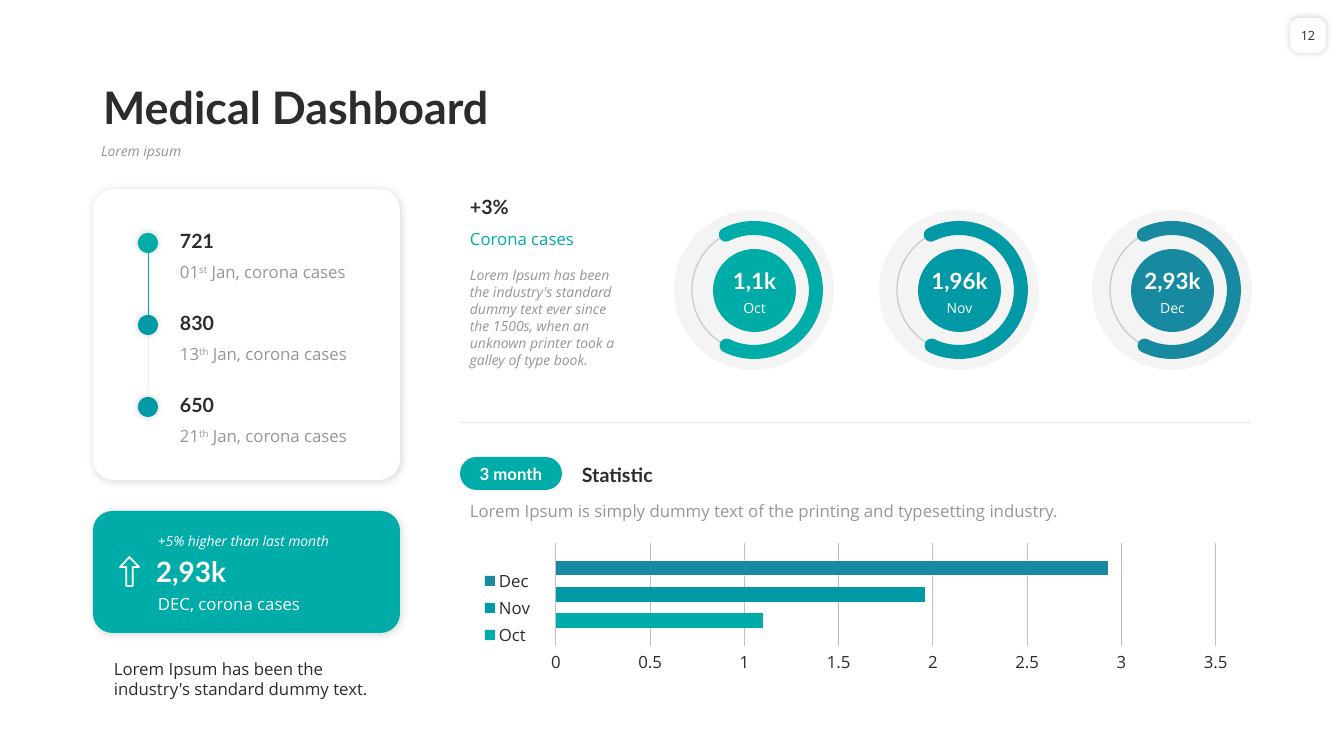
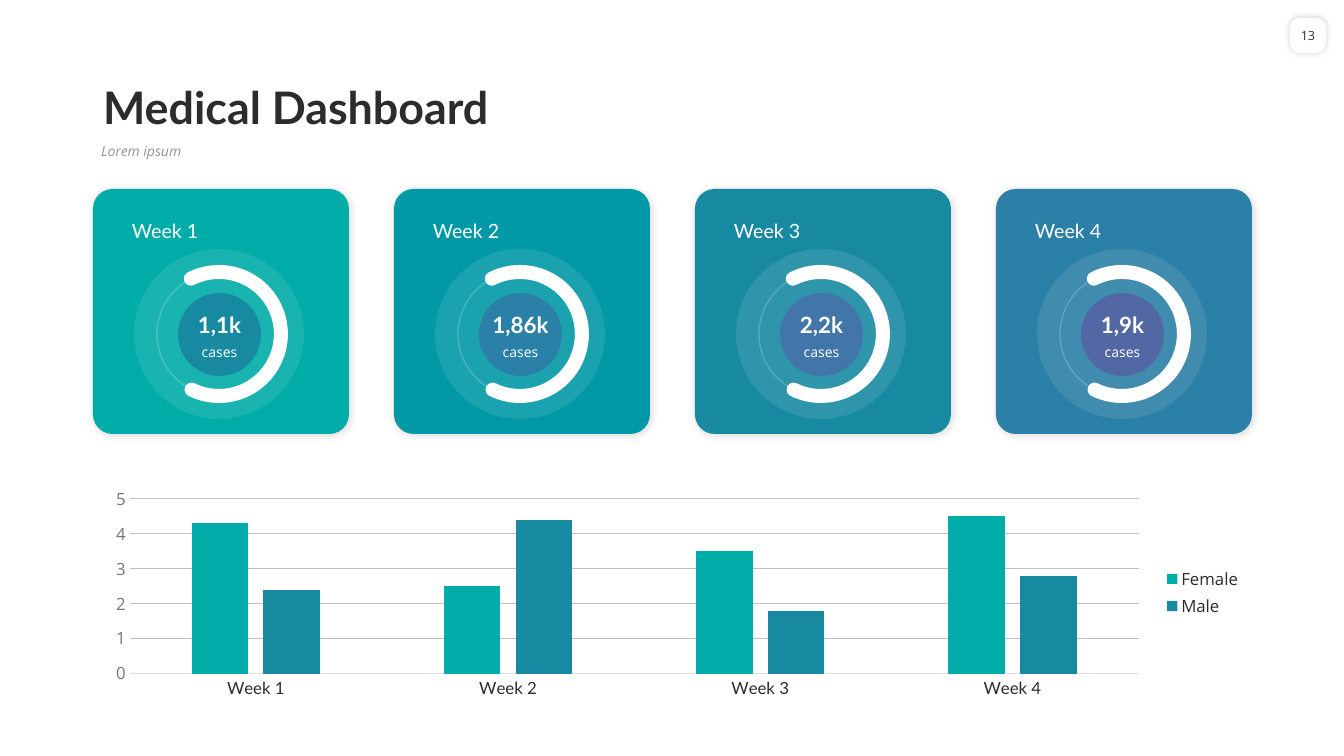
"""Build two medical dashboard slides with gauges, cards and charts."""
from lxml import etree
from pptx import Presentation
from pptx.chart.data import CategoryChartData
from pptx.dml.color import RGBColor
from pptx.enum.chart import XL_CHART_TYPE, XL_LEGEND_POSITION, XL_TICK_MARK
from pptx.enum.shapes import MSO_CONNECTOR, MSO_SHAPE
from pptx.enum.text import MSO_ANCHOR, MSO_AUTO_SIZE, PP_ALIGN
from pptx.oxml.ns import qn
from pptx.util import Pt

PX = 9071
HEAD, BODY = "Lato", "Open Sans"
INK = RGBColor(0x2C, 0x2C, 0x2C)
GREY = RGBColor(0x96, 0x96, 0x96)
AXIS_GREY = RGBColor(0x76, 0x76, 0x76)
GRID = RGBColor(0xC0, 0xC0, 0xC0)
BASELINE = RGBColor(0xDF, 0xDF, 0xDF)
HAIRLINE = RGBColor(0xEA, 0xEA, 0xEA)
WHITE = RGBColor(0xFF, 0xFF, 0xFF)
GREEN = RGBColor(0x00, 0xAC, 0xA8)
TEAL = RGBColor(0x00, 0x99, 0xA5)
PETROL = RGBColor(0x17, 0x8A, 0xA1)
BLUE = RGBColor(0x2A, 0x80, 0xA6)
AZURE = RGBColor(0x42, 0x76, 0xAA)
VIOLET = RGBColor(0x52, 0x68, 0xA5)
LEFT, CENTER = PP_ALIGN.LEFT, PP_ALIGN.CENTER
TOP, MIDDLE, BOTTOM = MSO_ANCHOR.TOP, MSO_ANCHOR.MIDDLE, MSO_ANCHOR.BOTTOM
ROUNDED, OVAL = MSO_SHAPE.ROUNDED_RECTANGLE, MSO_SHAPE.OVAL
ARC, UP_ARROW = MSO_SHAPE.ARC, MSO_SHAPE.UP_ARROW
STRAIGHT = MSO_CONNECTOR.STRAIGHT
NO_TICKS = XL_TICK_MARK.NONE
CARD_SHADOW = (15, 6, 1)
DOT_SHADOW = (20, 5, 0)


def draw(slide, kind, box, fill=None, line=None, weight=1, alpha=100, shadow=None, adjust=()):
    shape = slide.shapes.add_shape(kind, *[length * PX for length in box])
    for index, value in enumerate(adjust):
        shape.adjustments[index] = value
    if fill is None:
        shape.fill.background()
    else:
        shape.fill.solid()
        shape.fill.fore_color.rgb = fill
    if line is None:
        shape.line.fill.background()
    else:
        shape.line.color.rgb = line
        shape.line.width = Pt(weight)
        shape.line._get_or_add_ln().set("cap", "rnd")
    properties = shape._element.spPr
    if alpha < 100:
        for colour in properties.iter(qn("a:srgbClr")):
            etree.SubElement(colour, qn("a:alpha"), val=str(alpha * 1000))
    shape.shadow.inherit = False
    if shadow:
        opacity, blur, distance = shadow
        outer = etree.SubElement(
            properties.find(qn("a:effectLst")), qn("a:outerShdw"), blurRad=str(Pt(blur)),
            dist=str(Pt(distance)), dir=str(45 * 60000), algn="tl", rotWithShape="0")
        black = etree.SubElement(outer, qn("a:srgbClr"), val="000000")
        etree.SubElement(black, qn("a:alpha"), val=str(opacity * 1000))
    return shape


def write(slide, box, wording, size, colour, font=BODY, bold=False, italic=False,
          align=LEFT, anchor=TOP, shape=None, margin=None):
    shape = shape or slide.shapes.add_textbox(0, 0, 0, 0)
    shape.left, shape.top, shape.width, shape.height = [length * PX for length in box]
    frame = shape.text_frame
    frame.word_wrap = True
    frame.auto_size = MSO_AUTO_SIZE.NONE
    frame.vertical_anchor = anchor
    if margin is not None:
        frame.margin_left = frame.margin_right = margin * PX
        frame.margin_top = frame.margin_bottom = margin * PX
    paragraph = frame.paragraphs[0]
    paragraph.alignment = align
    for index, part in enumerate(wording.split("^")):
        run = paragraph.add_run()
        run.text = part
        run.font.name, run.font.size = font, Pt(size)
        run.font.bold, run.font.italic = bold, italic
        run.font.color.rgb = colour
        if index % 2:
            run.font._element.set("baseline", "30000")
    return paragraph


deck = Presentation()
deck.slide_width, deck.slide_height = 1344 * PX, 756 * PX

for number in ("12", "13"):
    slide = deck.slides.add_slide(deck.slide_layouts[1])
    heading = write(slide, (93, 58, 1159, 81), "Medical Dashboard", 32, INK, HEAD, bold=True,
                    anchor=BOTTOM, shape=slide.shapes.title)
    heading.line_spacing = 0.9
    subtitle = write(slide, (91, 139, 1161, 36), "Lorem ipsum", 10, GREY, italic=True,
                     shape=slide.placeholders[1])
    subtitle.line_spacing = 0.9
    subtitle.space_before = Pt(0)
    layout = subtitle._p.get_or_add_pPr()
    layout.set("marL", "0")
    layout.set("indent", "0")
    etree.SubElement(layout, qn("a:buNone"))
    page_box = (1290, 18, 36, 35)
    badge = draw(slide, ROUNDED, page_box, WHITE, shadow=DOT_SHADOW, adjust=[0.27])
    write(slide, page_box, number, 9, INK, align=CENTER, anchor=MIDDLE, shape=badge, margin=0)

overview, weekly = deck.slides

draw(overview, ROUNDED, (93, 511, 307, 122), GREEN, shadow=CARD_SHADOW, adjust=[0.16])
draw(overview, ROUNDED, (93, 189, 307, 291), WHITE, shadow=CARD_SHADOW, adjust=[0.07])

timeline = [("721", "01^st^ Jan, corona cases", GREEN),
            ("830", "13^th^ Jan, corona cases", TEAL),
            ("650", "21^th^ Jan, corona cases", TEAL)]
for row, (count, day, colour) in enumerate(timeline):
    top = 223 + 82 * row
    write(overview, (170, top, 208, 34), count, 14, INK, HEAD, bold=True, anchor=BOTTOM)
    write(overview, (170, top + 34, 208, 30), day, 12, GREY)
    draw(overview, OVAL, (138, top + 10, 20, 20), colour, shadow=DOT_SHADOW)

rules = [(148, 253, 148, 315, GREEN), (148, 335, 148, 397, HAIRLINE),
         (460, 422, 1251, 422, HAIRLINE)]
for *ends, colour in rules:
    rule = overview.shapes.add_connector(STRAIGHT, *[end * PX for end in ends])
    rule.line.color.rgb = colour
    rule.line.width = Pt(0.5)
    etree.SubElement(rule._element.spPr, qn("a:effectLst"))

draw(overview, UP_ARROW, (120, 557, 19, 29), line=WHITE, weight=1.25, adjust=[0.33, 0.53])
write(overview, (146, 549, 230, 44), "2,93k", 20, WHITE, HEAD, bold=True, anchor=MIDDLE)
write(overview, (148, 589, 230, 30), "DEC, corona cases", 12, WHITE)
write(overview, (148, 528, 230, 27), "+5% higher than last month", 10, WHITE, italic=True)
write(overview, (104, 654, 296, 50),
      "Lorem Ipsum has been the industry's standard dummy text.", 12, INK)

write(overview, (460, 189, 166, 34), "+3%", 14, INK, HEAD, bold=True, anchor=BOTTOM)
write(overview, (460, 224, 166, 30), "Corona cases", 12, GREEN)
write(overview, (460, 262, 166, 112),
      "Lorem Ipsum has been the industry's standard dummy text ever since the 1500s, "
      "when an unknown printer took a galley of type book.", 10, GREY, italic=True)

write(overview, (572, 457, 498, 34), "Statistic", 14, INK, HEAD, bold=True, anchor=BOTTOM)
write(overview, (460, 496, 610, 30),
      "Lorem Ipsum is simply dummy text of the printing and typesetting industry.", 12, GREY)
period_box = (460, 457, 102, 33)
period = draw(overview, ROUNDED, period_box, GREEN, adjust=[0.5])
write(overview, period_box, "3 month", 12, WHITE, HEAD, bold=True, align=CENTER,
      anchor=MIDDLE, shape=period, margin=0)

gauges = [(overview, 754, 290, 160, INK, 5, GREEN, GREEN, "1,1k", "Oct"),
          (overview, 959, 290, 160, INK, 5, TEAL, TEAL, "1,96k", "Nov"),
          (overview, 1172, 290, 160, INK, 5, PETROL, PETROL, "2,93k", "Dec")]

weeks = [("Week 1", GREEN, PETROL, "1,1k"), ("Week 2", TEAL, BLUE, "1,86k"),
         ("Week 3", PETROL, AZURE, "2,2k"), ("Week 4", BLUE, VIOLET, "1,9k")]
for column, (week, card_colour, core_colour, cases) in enumerate(weeks):
    left = 93 + 301 * column
    draw(weekly, ROUNDED, (left, 189, 256, 245), card_colour, shadow=CARD_SHADOW, adjust=[0.08])
    write(weekly, (left + 29, 214, 196, 34), week, 14, WHITE, HEAD)
    gauges.append((weekly, left + 126, 334, 170, WHITE, 10, WHITE, core_colour, cases, "cases"))

for slide, x, y, disc, tint, alpha, arc_colour, core_colour, value, caption in gauges:
    track = (x - 62, y - 62, 124, 124)
    draw(slide, OVAL, (x - disc // 2, y - disc // 2, disc, disc), tint, alpha=alpha)
    draw(slide, OVAL, track, line=tint, alpha=20)
    draw(slide, ARC, track, line=arc_colour, weight=10, adjust=[145.85, 69.71])
    draw(slide, OVAL, (x - 41, y - 41, 83, 83), core_colour)
    write(slide, (x - 41, y - 28, 83, 37), value, 16, WHITE, HEAD, bold=True,
          align=CENTER, anchor=BOTTOM)
    write(slide, (x - 41, y + 5, 83, 27), caption, 10, WHITE, align=CENTER)

charts = [
    (overview, (471, 540, 772, 136), XL_CHART_TYPE.BAR_CLUSTERED, XL_LEGEND_POSITION.LEFT,
     ["1"], 250, -80, INK,
     [("Oct", [1.1], GREEN), ("Nov", [1.96], TEAL), ("Dec", [2.93], PETROL)]),
    (weekly, (93, 483, 1159, 219), XL_CHART_TYPE.COLUMN_CLUSTERED, XL_LEGEND_POSITION.RIGHT,
     [week[0] for week in weeks], 219, -27, AXIS_GREY,
     [("Female", [4.3, 2.5, 3.5, 4.5], GREEN), ("Male", [2.4, 4.4, 1.8, 2.8], PETROL)])]
for slide, box, kind, legend_side, categories, gap, overlap, scale_colour, series in charts:
    data = CategoryChartData()
    data.categories = categories
    for name, values, colour in series:
        data.add_series(name, values)
    chart = slide.shapes.add_chart(kind, *[length * PX for length in box], data).chart
    chart.has_title = False
    chart.font.name, chart.font.size = BODY, Pt(10)
    chart.font.color.rgb = INK
    chart.has_legend = True
    chart.legend.position = legend_side
    chart.legend.include_in_layout = False
    plot = chart.plots[0]
    plot.gap_width, plot.overlap, plot.vary_by_categories = gap, overlap, False
    for bars, (name, values, colour) in zip(plot.series, series):
        bars.format.fill.solid()
        bars.format.fill.fore_color.rgb = colour
    scale, groups = chart.value_axis, chart.category_axis
    for font, face, colour in ((chart.legend.font, BODY, INK),
                               (scale.tick_labels.font, BODY, scale_colour),
                               (groups.tick_labels.font, HEAD, INK)):
        font.name, font.size = face, Pt(12)
        font.color.rgb = colour
    for axis in (scale, groups):
        axis.major_tick_mark = axis.minor_tick_mark = NO_TICKS
    scale.format.line.fill.background()
    scale.major_gridlines.format.line.color.rgb = GRID
    scale.major_gridlines.format.line.width = Pt(0.75)
    groups.format.line.color.rgb = BASELINE
    groups.format.line.width = Pt(0.75)
    groups.visible = len(categories) > 1

deck.save("out.pptx")
